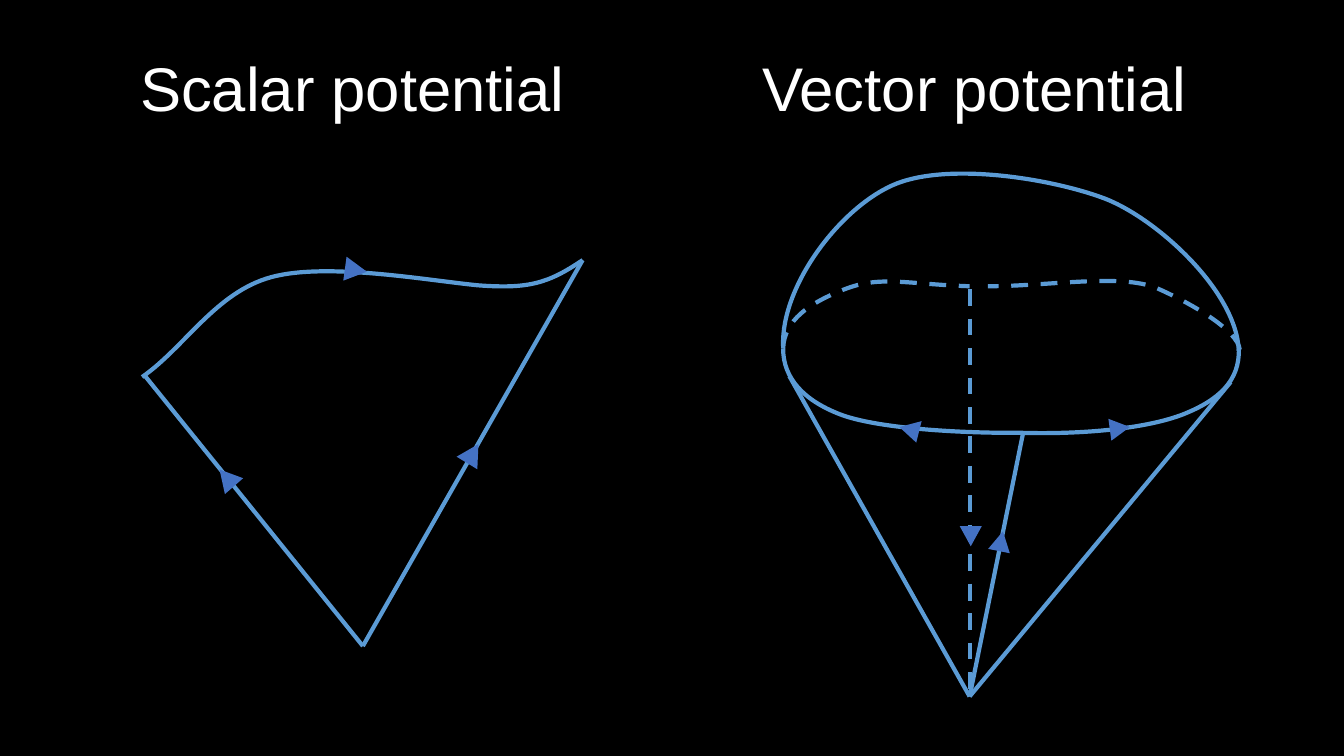
from lxml.etree import SubElement
from pptx import Presentation
from pptx.dml.color import RGBColor
from pptx.enum.dml import MSO_LINE
from pptx.enum.shapes import MSO_CONNECTOR, MSO_SHAPE
from pptx.enum.text import MSO_ANCHOR, PP_ALIGN
from pptx.oxml.ns import qn
from pptx.util import Pt

BLACK = RGBColor(0x00, 0x00, 0x00)
WHITE = RGBColor(0xFF, 0xFF, 0xFF)
PATH_BLUE = RGBColor(0x5B, 0x9B, 0xD5)
ARROW_BLUE = RGBColor(0x44, 0x72, 0xC4)
HEADING_FONT = {"name": "Arial", "size": Pt(44), "bold": False}


def style_line(sp, dashed):
    sp.line.color.rgb = PATH_BLUE
    sp.line.width = Pt(3)
    if dashed:
        sp.line.dash_style = MSO_LINE.DASH


def add_segment(group, box, start, end, dashed=False):
    left, top = box
    ends = [Pt(v) for x, y in (start, end) for v in (left + x, top + y)]
    sp = group.shapes.add_connector(MSO_CONNECTOR.STRAIGHT, *ends)
    style_line(sp, dashed)
    SubElement(sp._element.spPr, qn("a:effectLst"))


def add_curve(group, box, points, dashed=False):
    """Draw a Bezier curve: a start, then two control points and an end per arc."""
    left, top = box
    places = [(Pt(left + x), Pt(top + y)) for x, y in points]
    builder = group.shapes.build_freeform(*places[0])
    builder.add_line_segments(places[1:], close=False)
    sp = builder.convert_to_shape()
    sp.shadow.inherit = False
    sp.fill.background()
    style_line(sp, dashed)

    outline = next(sp._element.iter(qn("a:path")))
    steps = outline.findall(qn("a:lnTo"))
    for i in range(0, len(steps), 3):
        arc = SubElement(outline, qn("a:cubicBezTo"))
        for step in steps[i:i + 3]:
            arc.append(step[0])
            outline.remove(step)


def add_arrow(group, box, center, angle, size):
    left, top = box
    x, y = center
    width, height = size
    sp = group.shapes.add_shape(
        MSO_SHAPE.ISOSCELES_TRIANGLE, Pt(left + x - width / 2),
        Pt(top + y - height / 2), Pt(width), Pt(height))
    sp.rotation = angle
    sp.shadow.inherit = False
    sp.fill.solid()
    sp.fill.fore_color.rgb = ARROW_BLUE
    sp.line.fill.background()


def add_heading(sp, box, text):
    sp.left, sp.top, sp.width, sp.height = (Pt(v) for v in box)
    tf = sp.text_frame
    tf.text = text
    tf.word_wrap = False
    tf.vertical_anchor = MSO_ANCHOR.TOP
    p = tf.paragraphs[0]
    p.alignment = PP_ALIGN.LEFT
    p.space_before = Pt(0)
    font = p.runs[0].font
    for name, value in HEADING_FONT.items():
        setattr(font, name, value)
    font.color.rgb = WHITE


def add_scalar_figure(slide, box):
    group = slide.shapes.add_group_shape()
    apex, left_end, right_end = (157.7, 275.7), (1.5, 82), (314.7, 0)
    add_segment(group, box, left_end, apex)
    add_segment(group, box, apex, right_end)
    add_curve(group, box, [
        (0, 83.5), (30.3, 62.6), (52.6, 23), (92.2, 12.2),
        (131.8, 1.4), (203.1, 14.4), (239.8, 18),
        (276.5, 20.8), (290.2, 16.5), right_end])
    for center, angle in (((236.2, 138.2), 31.3), ((60.5, 155.5), 319),
                          ((152.7, 7.2), 97.8)):
        add_arrow(group, box, center, angle, (17.3, 15.8))


def add_vector_figure(slide, box):
    group = slide.shapes.add_group_shape()
    apex, rim_front, rim_left = (133.2, 373.7), (171.4, 185.4), (0, 125.3)

    front_left = [rim_left, (0, 146.2), (14.4, 162), (40.4, 172.1),
                  (66.3, 182.2), (126, 185.8), rim_front]
    front_right = [(325.5, 125.3), (326.2, 148.4), (311.1, 162), (285.9, 172.1),
                   (260, 182.2), (215.3, 186.5), rim_front]
    back_left = [rim_left, (0.7, 105.2), (18, 92.9), (44, 82.8),
                 (69.9, 72.8), (87.9, 79.2), (133.2, 80.7)]
    back_right = [(326.2, 126), (324.7, 112.4), (293.1, 93.6), (267.1, 82.1),
                  (241.2, 71.3), (190.1, 80.7), (146.2, 80.7)]
    dome = [(0, 123.2), (-1.4, 80.7), (39.6, 26), (77.8, 8.7),
            (115.9, -8.6), (191.5, 3.6), (229.7, 18),
            (267.1, 32.4), (324, 84.3), (325.5, 126.8)]

    for curve in (front_left, front_right, dome):
        add_curve(group, box, curve)
    for curve in (back_left, back_right):
        add_curve(group, box, curve, dashed=True)
    for start in ((4.4, 144.8), (319.7, 149.1), rim_front):
        add_segment(group, box, start, apex)
    add_segment(group, box, (133.2, 82.8), apex, dashed=True)
    for center, angle in (((240.5, 182.2), 82.3), ((90, 182.9), 284),
                          ((155.6, 262.8), 11.4), ((134, 259.2), 180)):
        add_arrow(group, box, center, angle, (15.8, 14.4))


def main():
    prs = Presentation()
    prs.slide_width, prs.slide_height = Pt(960), Pt(540)
    comparison = prs.slide_layouts.get_by_name("Comparison")
    slide = prs.slides.add_slide(comparison)
    slide.background.fill.solid()
    slide.background.fill.fore_color.rgb = BLACK

    holders = {sp.placeholder_format.idx: sp for sp in slide.placeholders}
    add_heading(holders.pop(1), (92.9, 32.4, 326.9, 60.5), "Scalar potential")
    add_heading(holders.pop(3), (537.1, 32.4, 337.7, 60.5), "Vector potential")
    for sp in holders.values():
        sp._element.getparent().remove(sp._element)

    add_scalar_figure(slide, (101.5, 185.8))
    add_vector_figure(slide, (559.4, 123.8))
    prs.save("out.pptx")


if __name__ == "__main__":
    main()
